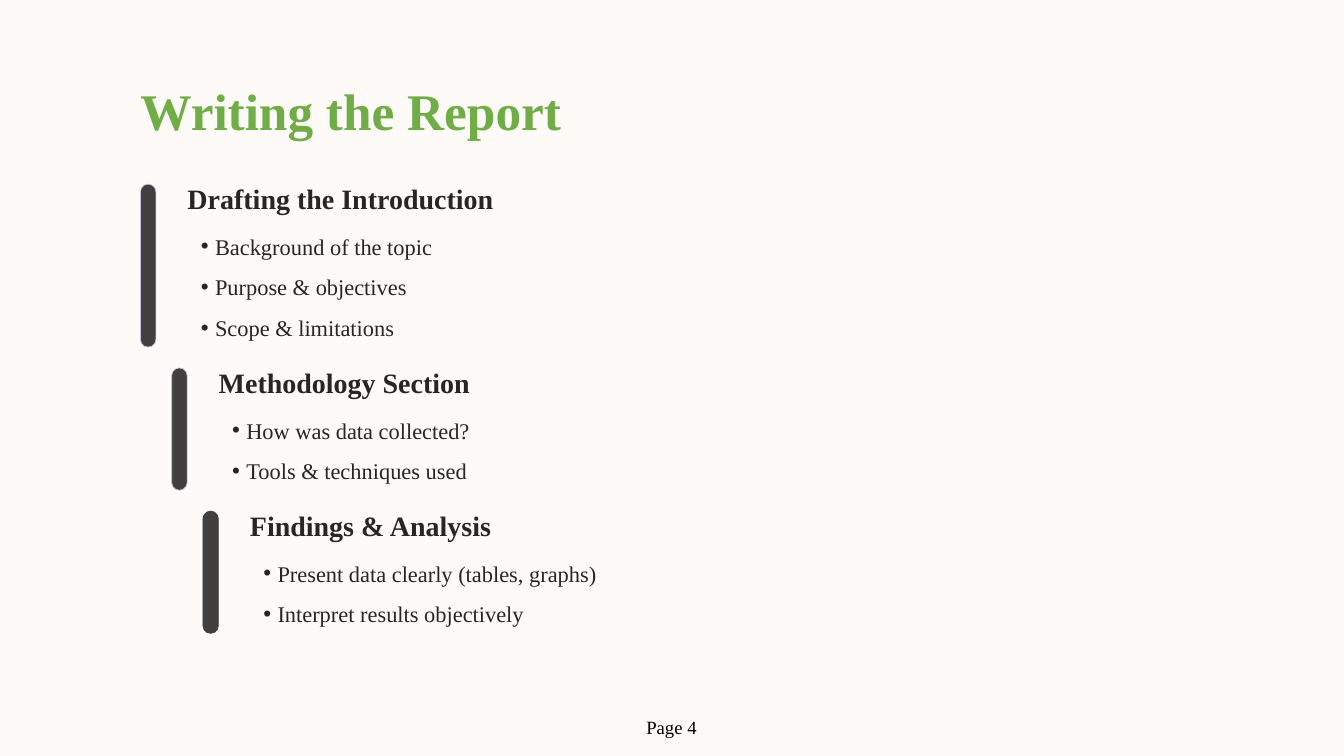
from dataclasses import dataclass

import pptx
import pptx.dml.color
import pptx.enum.shapes
import pptx.enum.text
import pptx.oxml
import pptx.oxml.ns
import pptx.util
from pptx.dml.color import RGBColor
from pptx.util import Inches

FONT = "Times New Roman"
BACKGROUND = RGBColor(0xFD, 0xFA, 0xF7)
GREEN = RGBColor(0x70, 0xAD, 0x47)
DARK = RGBColor(0x27, 0x25, 0x25)
BLACK = RGBColor(0, 0, 0)
BAR = RGBColor(0x40, 0x40, 0x40)
LAVENDER = RGBColor(0xC6, 0xBD, 0xDA)

LEFT, TOP = 2.09, 2.74
INDENT_STEP = 0.465
SECTION_GAP = 0.31
BULLET_PITCH = 0.605
TEXT_RIGHT = 12.42


@dataclass
class Section:
    heading: str
    heading_width: float
    bullets: list[str]
    outline: RGBColor = LAVENDER

    @property
    def height(self) -> float:
        return 0.61 + BULLET_PITCH * len(self.bullets)


SECTIONS = [
    Section("Drafting the Introduction", 4.99,
            ["Background of the topic", "Purpose & objectives", "Scope & limitations"]),
    Section("Methodology Section", 4.26,
            ["How was data collected?", "Tools & techniques used"]),
    Section("Findings & Analysis", 4.26,
            ["Present data clearly (tables, graphs)", "Interpret results objectively"], BAR),
]


def add_text(s, text: str, x: float, y: float, w: float, h: float, size: float,
             color: RGBColor = DARK, bold: bool = False, spacing: float | None = None):
    tf = s.shapes.add_textbox(Inches(x), Inches(y), Inches(w), Inches(h)).text_frame
    tf.text = text
    p = tf.paragraphs[0]
    if spacing:
        tf.word_wrap = True
        tf.margin_left = tf.margin_right = tf.margin_top = tf.margin_bottom = 0
        p.line_spacing = pptx.util.Pt(spacing)
    r = p.runs[0]
    r.font.name = FONT
    r.font.size = pptx.util.Pt(size)
    r.font.bold = bold
    r.font.color.rgb = color
    return p


def add_bullet(s, text: str, x: float, y: float) -> None:
    p = add_text(s, text, x, y, TEXT_RIGHT - x, 0.58, 24, spacing=35.6)
    p.level = 1
    pPr = p._p.get_or_add_pPr()
    pPr.set("marL", str(Inches(0.41)))
    pPr.set("indent", str(Inches(-0.21)))
    for tag, attribute, value in (("a:buFont", "typeface", "Arial"), ("a:buChar", "char", "•")):
        bullet = pptx.oxml.parse_xml(f"<{tag} {pptx.oxml.ns.nsdecls('a')}/>")
        bullet.set(attribute, value)
        pPr.append(bullet)


def add_section(s, section: Section, x: float, y: float) -> None:
    bar = s.shapes.add_shape(pptx.enum.shapes.MSO_SHAPE.ROUNDED_RECTANGLE,
                             Inches(x), Inches(y), Inches(0.23), Inches(section.height))
    bar.adjustments[0] = 0.5
    bar.shadow.inherit = False
    bar.fill.solid()
    bar.fill.fore_color.rgb = BAR
    bar.line.color.rgb = section.outline
    bar.line.width = pptx.util.Pt(0.75)
    text_x = x + 0.7
    add_text(s, section.heading, text_x, y - 0.07, section.heading_width, 0.6, 30,
             bold=True, spacing=38.1)
    for i, bullet in enumerate(section.bullets):
        add_bullet(s, bullet, text_x, y + 0.63 + i * BULLET_PITCH)


def main() -> None:
    prs = pptx.Presentation()
    prs.slide_width, prs.slide_height = Inches(20), Inches(11.25)
    s = prs.slides.add_slide(prs.slide_layouts[6])
    s.background.fill.solid()
    s.background.fill.fore_color.rgb = BACKGROUND

    add_text(s, "Writing the Report", LEFT, 1.04, 8.53, 1.24, 55, GREEN, True, 76.2)
    y = TOP
    for i, section in enumerate(SECTIONS):
        add_section(s, section, LEFT + i * INDENT_STEP, y)
        y += section.height + SECTION_GAP
    add_text(s, "Page 4", 9.52, 10.61, 0.96, 0.44, 20, BLACK)
    prs.save("out.pptx")


if __name__ == "__main__":
    main()
